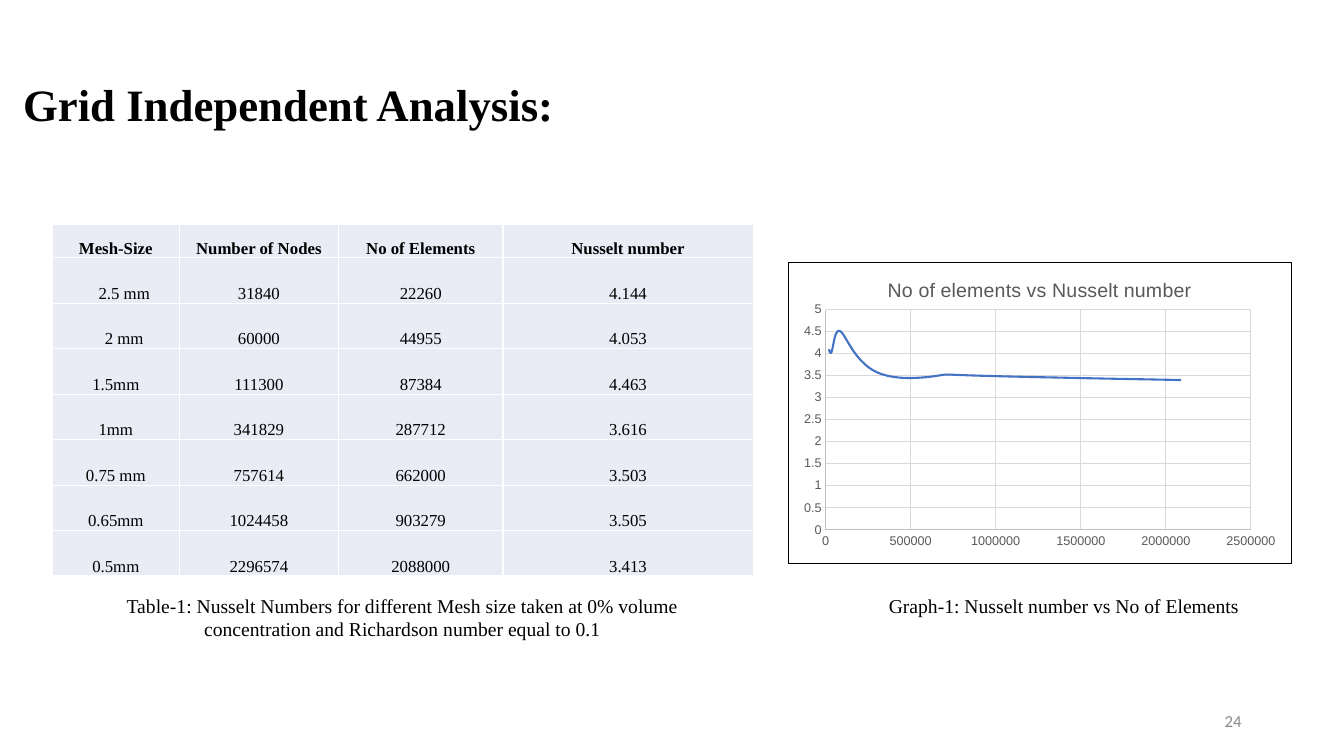
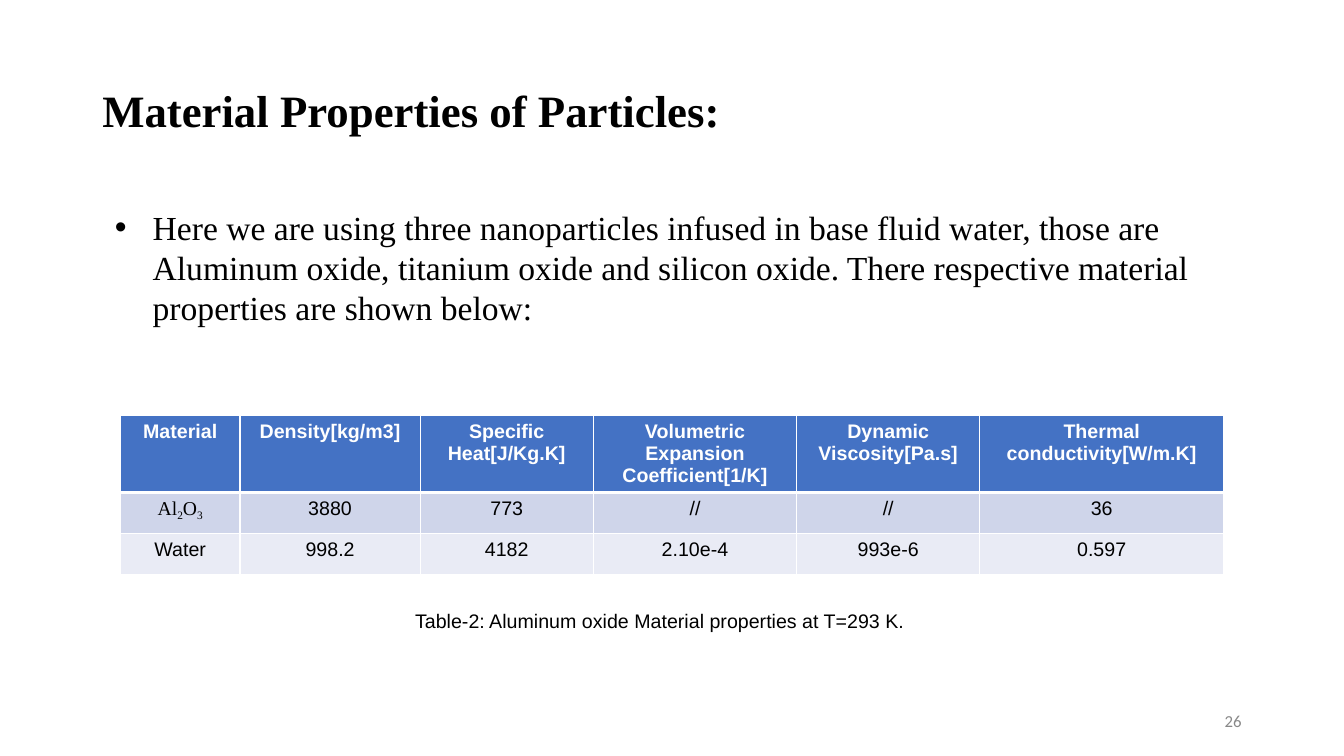
"""Build two slides on grid independence and particle material properties."""
from dataclasses import dataclass

from pptx import Presentation
from pptx.chart.data import XyChartData
from pptx.dml.color import RGBColor
from pptx.enum.chart import XL_CHART_TYPE, XL_MARKER_STYLE, XL_TICK_MARK
from pptx.enum.text import MSO_ANCHOR, PP_ALIGN
from pptx.oxml import parse_xml
from pptx.oxml.ns import nsdecls, qn
from pptx.oxml.xmlchemy import OxmlElement
from pptx.util import Pt


@dataclass(frozen=True)
class Theme:
    black: str = "000000"
    white: str = "FFFFFF"
    blue: str = "4472C4"
    band_dark: str = "CFD5EA"
    band_light: str = "E9EBF5"
    number_gray: str = "888888"
    chart_text: str = "595959"
    axis: str = "BFBFBF"
    grid: str = "D9D9D9"
    serif: str = "Times New Roman"
    sans: str = "Arial"
    footer: str = "Calibri"
    title_size: float = 32
    body_size: float = 24
    caption_size: float = 14
    small_size: float = 12
    chart_size: float = 10
    tick_size: float = 9


THEME = Theme()

MESH_TITLE = "Grid Independent Analysis:"
MESH_HEADER = ["Mesh-Size", "Number of Nodes", "No of Elements", "Nusselt number"]
MESH_ROWS = [
    ["2.5 mm", 31840, 22260, 4.144],
    ["2 mm", 60000, 44955, 4.053],
    ["1.5mm", 111300, 87384, 4.463],
    ["1mm", 341829, 287712, 3.616],
    ["0.75 mm", 757614, 662000, 3.503],
    ["0.65mm", 1024458, 903279, 3.505],
    ["0.5mm", 2296574, 2088000, 3.413],
]
INDENTED_SIZES = ("2.5 mm", "2 mm")
MESH_WIDTHS = [90.7, 113.8, 117.4, 178.8]
MESH_HEIGHTS = [23.9] + [32.5] * len(MESH_ROWS)
MESH_CAPTION = ("Table-1: Nusselt Numbers for different Mesh size taken at 0% volume "
                "concentration and Richardson number equal to 0.1")
CHART_TITLE = "No of elements vs Nusselt number"
CHART_CAPTION = "Graph-1: Nusselt number vs No of Elements"
PLOT_AREA = {"x": 0.074, "y": 0.158, "w": 0.846, "h": 0.731}

MATERIAL_TITLE = "Material Properties of Particles:"
MATERIAL_INTRO = ("Here we are using three nanoparticles infused in base fluid water, those are "
                  "Aluminum oxide, titanium oxide and silicon oxide. There respective material "
                  "properties are shown below:")
ALUMINA = ("Al", "2", "O", "3")
MATERIAL_ROWS = [
    ["Material", "Density[kg/m3]", "Specific Heat[J/Kg.K]",
     "Volumetric Expansion Coefficient[1/K]", "Dynamic Viscosity[Pa.s]",
     "Thermal conductivity[W/m.K]"],
    [ALUMINA, "3880", "773", "//", "//", "36"],
    ["Water", "998.2", "4182", "2.10e-4", "993e-6", "0.597"],
]
MATERIAL_FILLS = [THEME.blue, THEME.band_dark, THEME.band_light]
MATERIAL_WIDTHS = [85.5, 128.6, 123.8, 145.2, 130.8, 174.2]
MATERIAL_HEIGHTS = [54, 29.2, 29.2]
MATERIAL_CAPTION = "Table-2: Aluminum oxide Material properties at T=293 K."


def style_font(font, size, name, color, bold=False):
    font.size = Pt(size)
    font.name = name
    font.bold = bold
    font.color.rgb = RGBColor.from_string(color)


def style_line(line, color, width):
    line.color.rgb = RGBColor.from_string(color)
    line.width = Pt(width)


def add_text(page, area, text, size, name=THEME.serif, color=THEME.black, bold=False,
             align=PP_ALIGN.LEFT, anchor=MSO_ANCHOR.TOP, spacing=None):
    box = page.shapes.add_textbox(*map(Pt, area))
    frame = box.text_frame
    frame.word_wrap = True
    frame.vertical_anchor = anchor
    frame.text = text
    para = frame.paragraphs[0]
    para.alignment = align
    para.line_spacing = spacing
    style_font(para.runs[0].font, size, name, color, bold)
    return para


def add_page(deck, title, left, top, number):
    page = deck.slides.add_slide(deck.slide_layouts[6])
    add_text(page, (left, top, 828, 104.4), title, THEME.title_size, bold=True,
             anchor=MSO_ANCHOR.MIDDLE, spacing=0.9)
    add_text(page, (678, 500.4, 216, 28.8), str(number), THEME.small_size, THEME.footer,
             THEME.number_gray, align=PP_ALIGN.RIGHT, anchor=MSO_ANCHOR.MIDDLE)
    return page


def add_grid(page, left, top, widths, heights):
    frame = page.shapes.add_table(len(heights), len(widths), Pt(left), Pt(top),
                                  Pt(sum(widths)), Pt(sum(heights)))
    grid = frame.table
    grid.first_row = grid.horz_banding = False
    for column, width in zip(grid.columns, widths):
        column.width = Pt(width)
    for row, height in zip(grid.rows, heights):
        row.height = Pt(height)
    return grid


def style_cell(cell, fill, bottom=1):
    properties = cell._tc.get_or_add_tcPr()
    for side, width in (("L", 1), ("R", 1), ("T", 1), ("B", bottom)):
        properties.append(parse_xml(
            f'<a:ln{side} {nsdecls("a")} w="{Pt(width)}"><a:solidFill>'
            f'<a:srgbClr val="{THEME.white}"/></a:solidFill></a:ln{side}>'))
    cell.fill.solid()
    cell.fill.fore_color.rgb = RGBColor.from_string(fill)


def fill_cell(cell, parts, size, name, color, bold):
    para = cell.text_frame.paragraphs[0]
    para.alignment = PP_ALIGN.CENTER
    for index, part in enumerate(parts):
        span = para.add_run()
        span.text = part
        style_font(span.font, size, name, color, bold)
        if index % 2:
            span.font._element.set("baseline", "-25000")


def add_mesh_table(page):
    grid = add_grid(page, 37.4, 160.2, MESH_WIDTHS, MESH_HEIGHTS)
    for r, values in enumerate([MESH_HEADER] + MESH_ROWS):
        for c, value in enumerate(values):
            cell = grid.cell(r, c)
            cell.vertical_anchor = MSO_ANCHOR.BOTTOM
            cell.margin_left = Pt(12.7 if value in INDENTED_SIZES else 0.7)
            cell.margin_right = cell.margin_top = Pt(0.7)
            cell.margin_bottom = Pt(0)
            style_cell(cell, THEME.band_light)
            fill_cell(cell, (str(value),), THEME.small_size, THEME.serif, THEME.black, r == 0)


def add_material_table(page):
    grid = add_grid(page, 86, 296.8, MATERIAL_WIDTHS, MATERIAL_HEIGHTS)
    for r, values in enumerate(MATERIAL_ROWS):
        header = r == 0
        for c, value in enumerate(values):
            cell = grid.cell(r, c)
            formula = isinstance(value, tuple)
            if header:
                cell.margin_bottom = Pt(1)
            style_cell(cell, MATERIAL_FILLS[r], 3 if header else 1)
            fill_cell(cell, value if formula else (value,), THEME.caption_size,
                      THEME.serif if formula else THEME.sans,
                      THEME.white if header else THEME.black, header)


def style_axis(axis, maximum, step):
    axis.minimum_scale, axis.maximum_scale, axis.major_unit = 0, maximum, step
    axis.major_tick_mark = axis.minor_tick_mark = XL_TICK_MARK.NONE
    axis.has_major_gridlines = True
    style_line(axis.major_gridlines.format.line, THEME.grid, 0.75)
    style_line(axis.format.line, THEME.axis, 0.75)
    style_font(axis.tick_labels.font, THEME.tick_size, THEME.sans, THEME.chart_text)
    axis.tick_labels.number_format = "General"
    axis.tick_labels.number_format_is_linked = False


def frame_chart(chart):
    area = chart._chartSpace.chart.plotArea
    for old in area.findall(qn("c:layout")):
        area.remove(old)
    layout = OxmlElement("c:layout")
    manual = OxmlElement("c:manualLayout")
    layout.append(manual)
    settings = {"layoutTarget": "inner", "xMode": "edge", "yMode": "edge", **PLOT_AREA}
    for tag, value in settings.items():
        item = OxmlElement(f"c:{tag}")
        item.set("val", str(value))
        manual.append(item)
    area.insert(0, layout)
    border = parse_xml(
        f'<c:spPr {nsdecls("c", "a")}><a:solidFill><a:srgbClr val="{THEME.white}"/></a:solidFill>'
        f'<a:ln w="{Pt(0.75)}"><a:solidFill><a:srgbClr val="{THEME.black}"/></a:solidFill></a:ln>'
        f'</c:spPr>')
    chart._chartSpace.find(qn("c:txPr")).addprevious(border)


def add_mesh_chart(page):
    data = XyChartData()
    points = data.add_series("Series 1")
    for _, _, elements, nusselt in MESH_ROWS:
        points.add_data_point(round(elements, -4), round(nusselt, 1))
    chart = page.shapes.add_chart(XL_CHART_TYPE.XY_SCATTER_SMOOTH_NO_MARKERS, Pt(562.7), Pt(186.8),
                                  Pt(360), Pt(216), data).chart
    style_font(chart.font, THEME.chart_size, THEME.sans, THEME.black)
    chart.has_legend = False
    chart.has_title = True
    chart.chart_title.text_frame.text = CHART_TITLE
    span = chart.chart_title.text_frame.paragraphs[0].runs[0]
    style_font(span.font, THEME.caption_size, THEME.sans, THEME.chart_text)
    style_axis(chart.category_axis, 2500000, 500000)
    style_axis(chart.value_axis, 5, 0.5)
    plot = chart.plots[0]
    plot.vary_by_categories = False
    series = plot.series[0]
    series.marker.style = XL_MARKER_STYLE.NONE
    style_line(series.format.line, THEME.blue, 1.5)
    series._element.get_or_add_smooth().val = True
    frame_chart(chart)


def add_bullet(para):
    properties = para._p.get_or_add_pPr()
    properties.set("marL", str(Pt(36)))
    properties.set("indent", str(Pt(-27)))
    properties.append(parse_xml(f'<a:buFont {nsdecls("a")} typeface="{THEME.sans}"/>'))
    properties.append(parse_xml(f'<a:buChar {nsdecls("a")} char="•"/>'))


def build_mesh_page(deck):
    page = add_page(deck, MESH_TITLE, 9.4, 24.2, 24)
    add_mesh_table(page)
    add_mesh_chart(page)
    for area, caption in (((47.5, 420.5, 480, 41), MESH_CAPTION),
                          ((553, 420.5, 414, 24.5), CHART_CAPTION)):
        add_text(page, area, caption, THEME.caption_size, align=PP_ALIGN.CENTER)


def build_material_page(deck):
    page = add_page(deck, MATERIAL_TITLE, 66, 28.8, 26)
    add_bullet(add_text(page, (66, 144, 828, 110), MATERIAL_INTRO, THEME.body_size, spacing=1.0))
    add_material_table(page)
    add_text(page, (289.4, 431.3, 389, 24.5), MATERIAL_CAPTION, THEME.caption_size, THEME.sans)


def main():
    deck = Presentation()
    deck.slide_width, deck.slide_height = Pt(960), Pt(540)
    build_mesh_page(deck)
    build_material_page(deck)
    deck.save("out.pptx")


if __name__ == "__main__":
    main()
